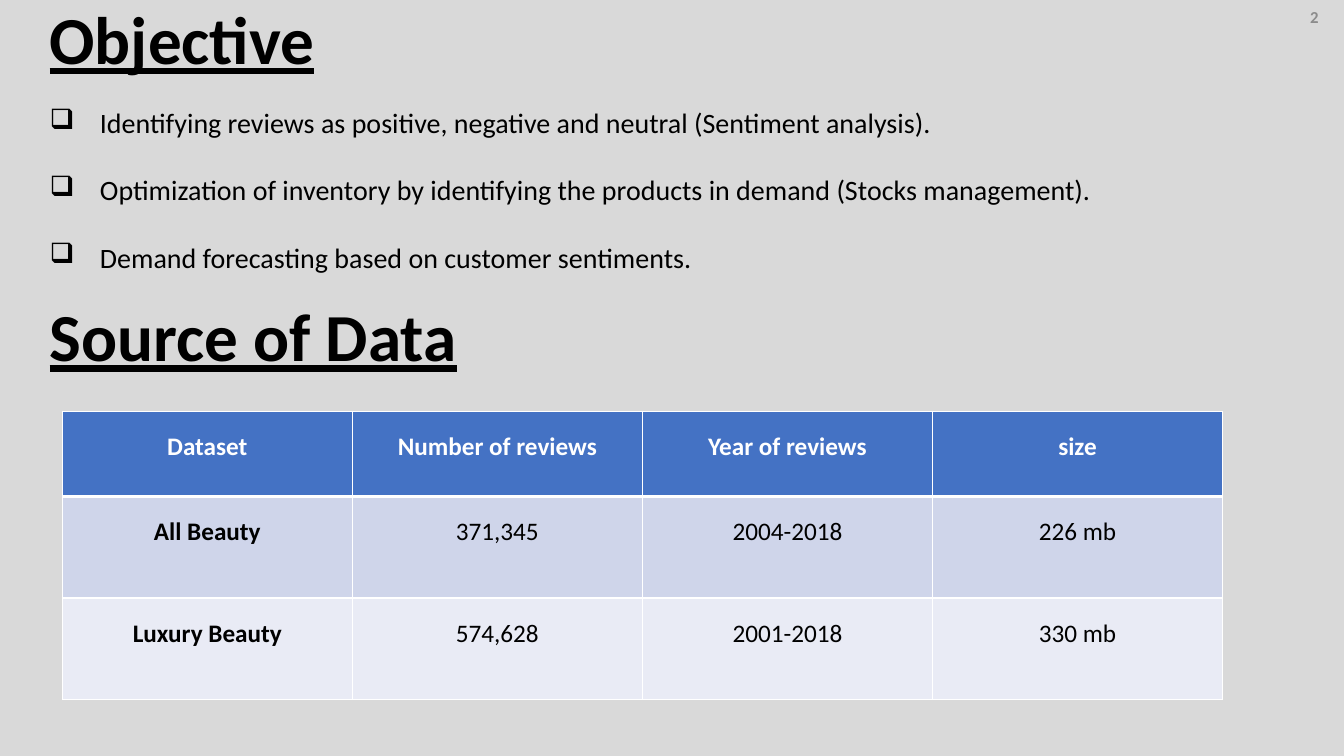
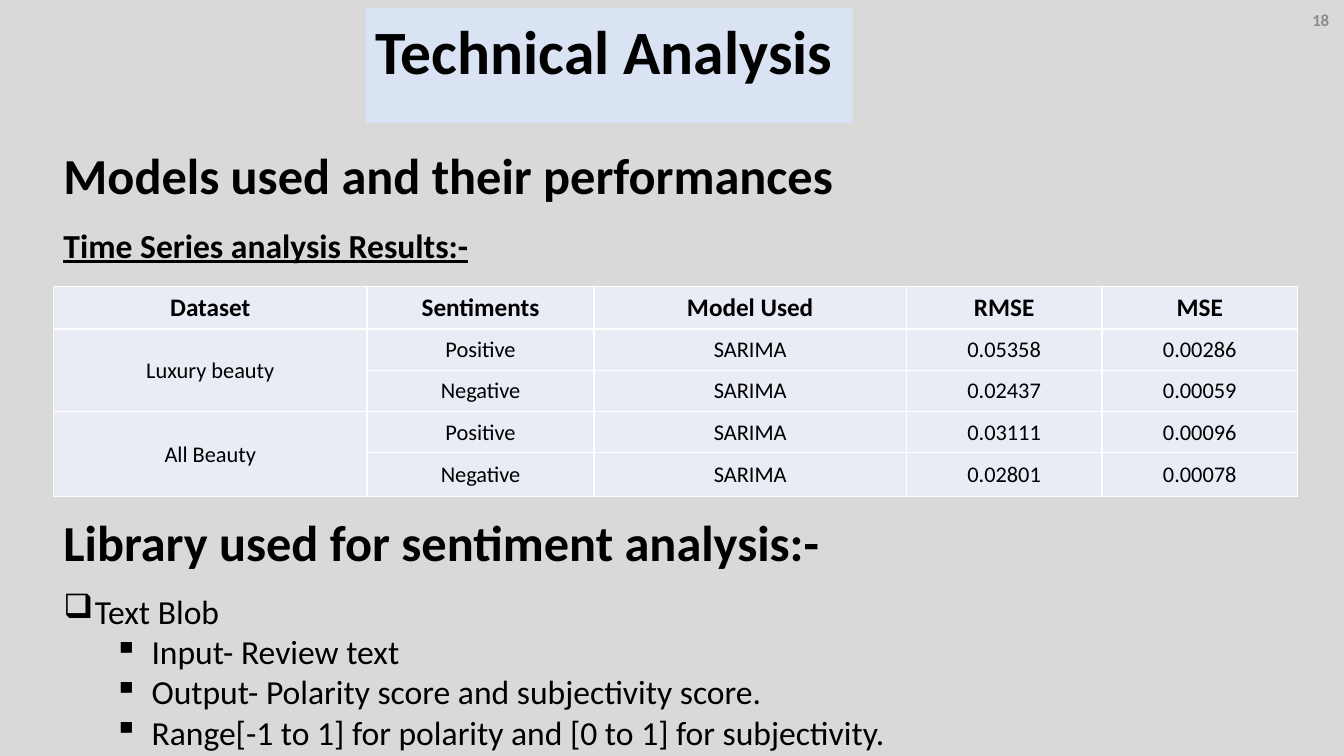
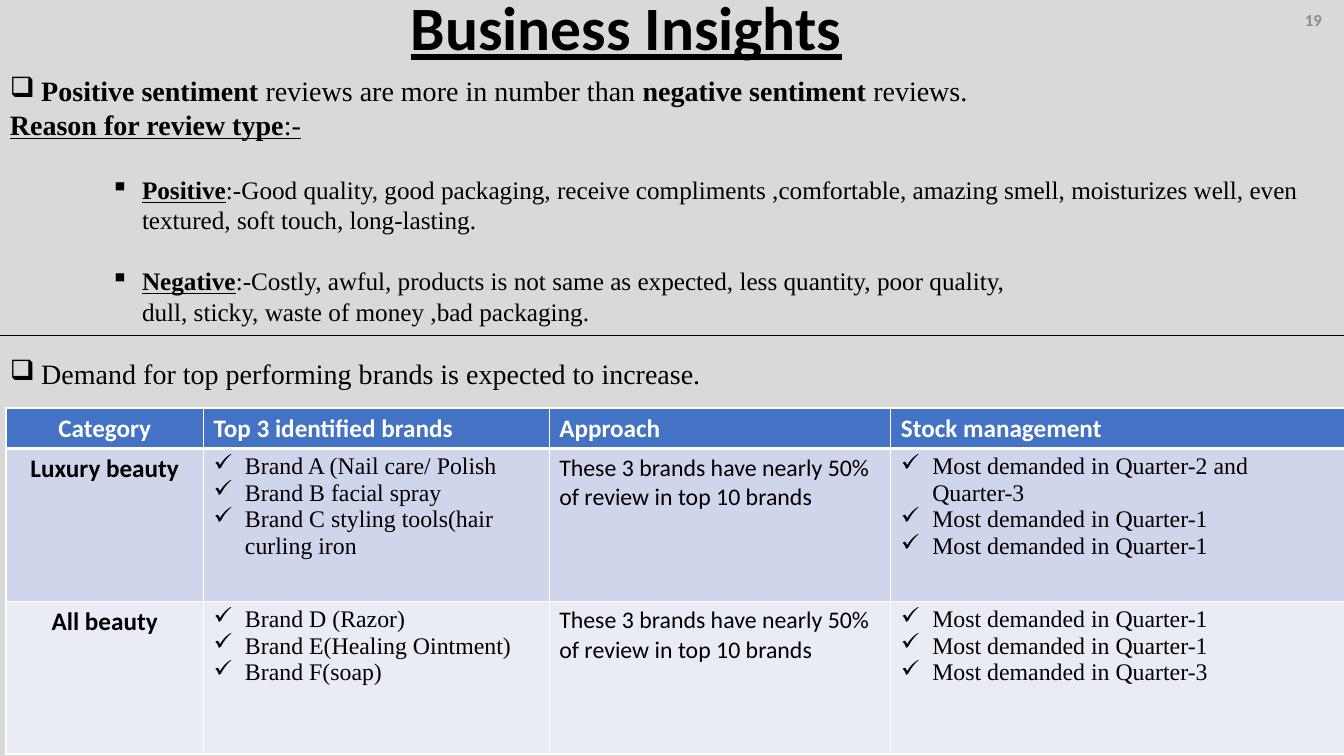
from dataclasses import dataclass, field

from lxml.etree import SubElement
from pptx import Presentation
from pptx.dml.color import RGBColor
from pptx.enum.shapes import MSO_CONNECTOR, MSO_SHAPE
from pptx.enum.text import MSO_ANCHOR, PP_ALIGN
from pptx.oxml.ns import qn
from pptx.util import Cm, Pt

COLORS = {
    "page": "D9D9D9",
    "ink": "000000",
    "white": "FFFFFF",
    "number": "8C8C8C",
    "header": "4472C4",
    "band": "CFD5EA",
    "light": "E9EBF5",
    "title_box": "DAE3F3",
}
SANS = "Calibri"
SERIF = "Times New Roman"
BOX, SQUARE, CHECK = "❑", "▪", "✓"
BOLD = {"bold": True}
LABEL = {"bold": True, "underline": True}


@dataclass
class Para:
    """One paragraph: its runs, font and layout."""

    runs: object
    size: float = 18
    face: str = SANS
    color: str = "ink"
    font: dict = field(default_factory=dict)
    layout: dict = field(default_factory=dict)
    bullet: str = ""
    left: float = 0
    hang: float = 0


def rgb(name):
    """Return a palette colour."""
    return RGBColor.from_string(COLORS[name])


def set_all(target, values):
    """Set every attribute named in values."""
    for name, value in values.items():
        setattr(target, name, value)


def write(frame, paras):
    """Fill a text frame with paragraphs."""
    for index, para in enumerate(paras):
        line = frame.add_paragraph() if index else frame.paragraphs[0]
        set_all(line, para.layout)
        properties = line._p.get_or_add_pPr()
        if para.left:
            properties.set("marL", str(Cm(para.left)))
            properties.set("indent", str(-Cm(para.hang)))
        if para.bullet:
            SubElement(properties, qn("a:buChar")).set("char", para.bullet)
        runs = [(para.runs, {})] if isinstance(para.runs, str) else para.runs
        for words, changes in runs:
            run = line.add_run()
            run.text = words
            values = {"size": Pt(para.size), "name": para.face}
            set_all(run.font, {**values, **para.font, **changes})
            run.font.color.rgb = rgb(para.color)


def add_text(slide, place, *paras, anchor=MSO_ANCHOR.TOP):
    """Add a wrapping text box."""
    frame = slide.shapes.add_textbox(*map(Cm, place)).text_frame
    set_all(frame, {"word_wrap": True, "vertical_anchor": anchor})
    write(frame, paras)


def add_heading(slide, place, words, size, underline=False):
    """Add a bold heading."""
    add_text(slide, place, Para(words, size, font={"bold": True, "underline": underline}))


def add_title_box(slide, place, words):
    """Add a title on a tinted rectangle."""
    box = slide.shapes.add_shape(MSO_SHAPE.RECTANGLE, *map(Cm, place))
    box.shadow.inherit = False
    box.fill.solid()
    box.fill.fore_color.rgb = rgb("title_box")
    box.line.fill.background()
    box.text_frame.vertical_anchor = MSO_ANCHOR.TOP
    write(box.text_frame, [Para(words, 44, font=BOLD, layout={"alignment": PP_ALIGN.LEFT})])


def add_number(slide, place, number):
    """Add the slide number in the top right corner."""
    add_text(slide, place, centred(number, 12, color="number", font=BOLD),
             anchor=MSO_ANCHOR.MIDDLE)


def add_rule(slide, y, width):
    """Add a thin line across the slide."""
    rule = slide.shapes.add_connector(MSO_CONNECTOR.STRAIGHT, 0, Cm(y), width, Cm(y))
    rule.line.color.rgb = rgb("ink")
    rule.line.width = Pt(0.5)
    SubElement(rule._element.spPr, qn("a:effectLst"))


def add_borders(cell, widths):
    """Draw white cell borders, widths in points by side."""
    properties = cell._tc.get_or_add_tcPr()
    for side, width in widths.items():
        edge = SubElement(properties, qn(f"a:ln{side}"))
        edge.set("w", str(Pt(width)))
        fill = SubElement(edge, qn("a:solidFill"))
        SubElement(fill, qn("a:srgbClr")).set("val", COLORS["white"])


def add_grid(slide, corner, columns, heights, rows, fills, cell_format=None):
    """Add a table whose cells are lists of paragraphs, None for a cell merged upwards."""
    size = (sum(columns), sum(heights))
    table = slide.shapes.add_table(len(rows), len(columns), *map(Cm, corner + size)).table
    has_header = fills[0] == "header"
    set_all(table, {"first_row": has_header, "horz_banding": False})
    for column, width in zip(table.columns, columns):
        column.width = Cm(width)
    for r, (row, height, fill) in enumerate(zip(rows, heights, fills)):
        table.rows[r].height = Cm(height)
        for c, paras in enumerate(row):
            cell = table.cell(r, c)
            set_all(cell, cell_format or {})
            add_borders(cell, {
                "L": 1, "R": 1,
                "T": 3 if has_header and r == 1 else 1,
                "B": 3 if has_header and r == 0 else 1,
            })
            cell.fill.solid()
            cell.fill.fore_color.rgb = rgb(fill)
            if paras is None:
                table.cell(r - 1, c).merge(cell)
            else:
                write(cell.text_frame, paras)


def centred(words, size=18, spacing=None, **rest):
    """Return a centred paragraph."""
    layout = {"alignment": PP_ALIGN.CENTER}
    if spacing:
        layout["line_spacing"] = spacing
    return Para(words, size, layout=layout, **rest)


def checks(*lines):
    """Return check-marked cell lines."""
    return [Para(line, 17, SERIF, bullet=CHECK, left=0.79, hang=0.79) for line in lines]


def build_objective(slide):
    """Build the objective and data source slide."""
    add_heading(slide, (1, -0.2, 8.05, 2.31), "Objective", 48, True)
    goals = (
        "Identifying reviews as positive, negative and neutral (Sentiment analysis).",
        "Optimization of inventory by identifying the products in demand (Stocks management).",
        "Demand forecasting based on customer sentiments.",
    )
    add_text(slide, (1, 2.54, 32.6, 4.6), *(
        Para(goal, 20, bullet=BOX, left=1.27, hang=1.27,
             layout={"space_before": Pt(24 if index else 0)})
        for index, goal in enumerate(goals)))
    add_heading(slide, (1, 7.3, 11.55, 3.07), "Source of Data", 48, True)
    add_number(slide, (32.4, 0, 1.45, 0.85), "2")
    datasets = (
        ("Dataset", "Number of reviews", "Year of reviews", "size"),
        ("All Beauty", "371,345", "2004-2018", "226 mb"),
        ("Luxury Beauty", "574,628", "2001-2018", "330 mb"),
    )
    rows = [
        [[centred(words, spacing=1.5, color="ink" if r else "white",
                  font={"bold": r == 0 or c == 0})]
         for c, words in enumerate(row)]
        for r, row in enumerate(datasets)
    ]
    add_grid(slide, (1.57, 10.36), [7.31] * 4, [2.15, 2.56, 2.56], rows,
             ["header", "band", "light"])


def build_technical(slide):
    """Build the technical analysis slide."""
    results = (
        ("Dataset", "Sentiments", "Model Used", "RMSE", "MSE"),
        ("Luxury beauty", "Positive", "SARIMA", "0.05358", "0.00286"),
        (None, "Negative", "SARIMA", "0.02437", "0.00059"),
        ("All Beauty", "Positive", "SARIMA", "0.03111", "0.00096"),
        (None, "Negative", "SARIMA", "0.02801", "0.00078"),
    )
    rows = [
        [words and [centred(words, 16 if r else 18, font={"bold": r == 0})] for words in row]
        for r, row in enumerate(results)
    ]
    tight = {f"margin_{side}": Cm(0.02) for side in ("left", "right", "top")}
    add_grid(slide, (1.35, 7.22), [7.9, 5.72, 7.87, 4.93, 4.93],
             [1.07, 1.04, 1.04, 1.04, 1.1], rows, ["light"] * 5,
             {**tight, "margin_bottom": 0, "vertical_anchor": MSO_ANCHOR.MIDDLE})
    add_heading(slide, (1.35, 5.54, 13.8, 1.27), "Time Series analysis Results:-", 24, True)
    add_heading(slide, (1.35, 3.5, 23.1, 1.8), "Models used and their performances", 36)
    add_number(slide, (32.7, 0, 1.17, 1.02), "18")
    add_title_box(slide, (9.22, 0.2, 12.27, 2.9), "Technical Analysis")
    add_heading(slide, (1.35, 12.75, 24.2, 1.8), "Library used for sentiment analysis:-", 36)
    details = (
        "Input- Review text",
        "Output- Polarity score and subjectivity score.",
        "Range[-1 to 1] for polarity and [0 to 1] for subjectivity.",
    )
    add_text(slide, (1.35, 14.76, 31.2, 4.29),
             Para("Text Blob", 24, bullet=BOX, left=0.79, hang=0.79),
             *(Para(detail, 24, bullet=SQUARE, left=2.22, hang=0.95,
                    layout={"level": 1}) for detail in details))


def build_insights(slide, width):
    """Build the business insights slide."""
    add_heading(slide, (10.1, -0.4, 12.67, 2.13), "Business Insights", 44, True)
    point = {"size": 20, "face": SERIF, "bullet": BOX, "left": 0.79, "hang": 0.79}
    reason = {"size": 18, "face": SERIF, "left": 3.33}
    marked = {**reason, "bullet": SQUARE, "hang": 0.79}
    add_text(
        slide, (0, 1.73, 33.87, 8.4),
        Para([("Positive sentiment ", BOLD), ("reviews are more in number than ", {}),
              ("negative sentiment ", BOLD), ("reviews.", {})], **point),
        Para([("Reason for review type", LABEL), (":-", {"underline": True})], 20, SERIF),
        Para([("Positive", LABEL),
              (":-Good quality, good packaging, receive compliments ,comfortable, amazing smell, "
               "moisturizes well, even textured, soft touch, long-lasting.", {})],
             layout={"level": 2, "space_before": Pt(24)}, **marked),
        Para([("Negative", LABEL),
              (":-Costly, awful, products is not same as expected, less quantity, "
               "poor quality,", {})],
             layout={"level": 2, "space_before": Pt(22)}, **marked),
        Para("dull, sticky, waste of money ,bad packaging.", layout={"level": 2}, **reason),
        Para("Demand for top performing brands is expected to increase.",
             layout={"space_before": Pt(22)}, **point),
    )
    add_number(slide, (32.35, 0, 1.5, 1.02), "19")
    add_rule(slide, 8.46, width)
    headers = ("Category", "Top 3 identified brands", "Approach", "Stock management")
    heading = {"color": "white", "font": BOLD}
    brands = (
        ("Luxury beauty",
         ("Brand A (Nail care/ Polish", "Brand B facial spray",
          "Brand C styling tools(hair curling iron"),
         ("Most demanded in Quarter-2 and Quarter-3", "Most demanded in Quarter-1",
          "Most demanded in Quarter-1")),
        ("All beauty",
         ("Brand D (Razor)", "Brand E(Healing Ointment)", "Brand F(soap)"),
         ("Most demanded in Quarter-1", "Most demanded in Quarter-1",
          "Most demanded in Quarter-3")),
    )
    approach = "These 3 brands have nearly 50% of review in top 10 brands"
    rows = [[[centred(headers[0], **heading)]] + [[Para(h, **heading)] for h in headers[1:]]]
    rows += [[[centred(category, font=BOLD)], checks(*names), [Para(approach, 17)],
              checks(*demand)] for category, names, demand in brands]
    add_grid(slide, (0.15, 10.28), [4.98, 8.71, 8.61, 11.43], [1.02, 3.85, 3.85], rows,
             ["header", "band", "light"])


def main():
    """Build and save the presentation."""
    deck = Presentation()
    set_all(deck, {"slide_width": Cm(33.87), "slide_height": Cm(19.05)})
    backdrop = deck.slide_master.background.fill
    backdrop.solid()
    backdrop.fore_color.rgb = rgb("page")
    objective, technical, insights = (
        deck.slides.add_slide(deck.slide_layouts[6]) for _ in range(3))
    build_objective(objective)
    build_technical(technical)
    build_insights(insights, deck.slide_width)
    deck.save("out.pptx")


if __name__ == "__main__":
    main()
